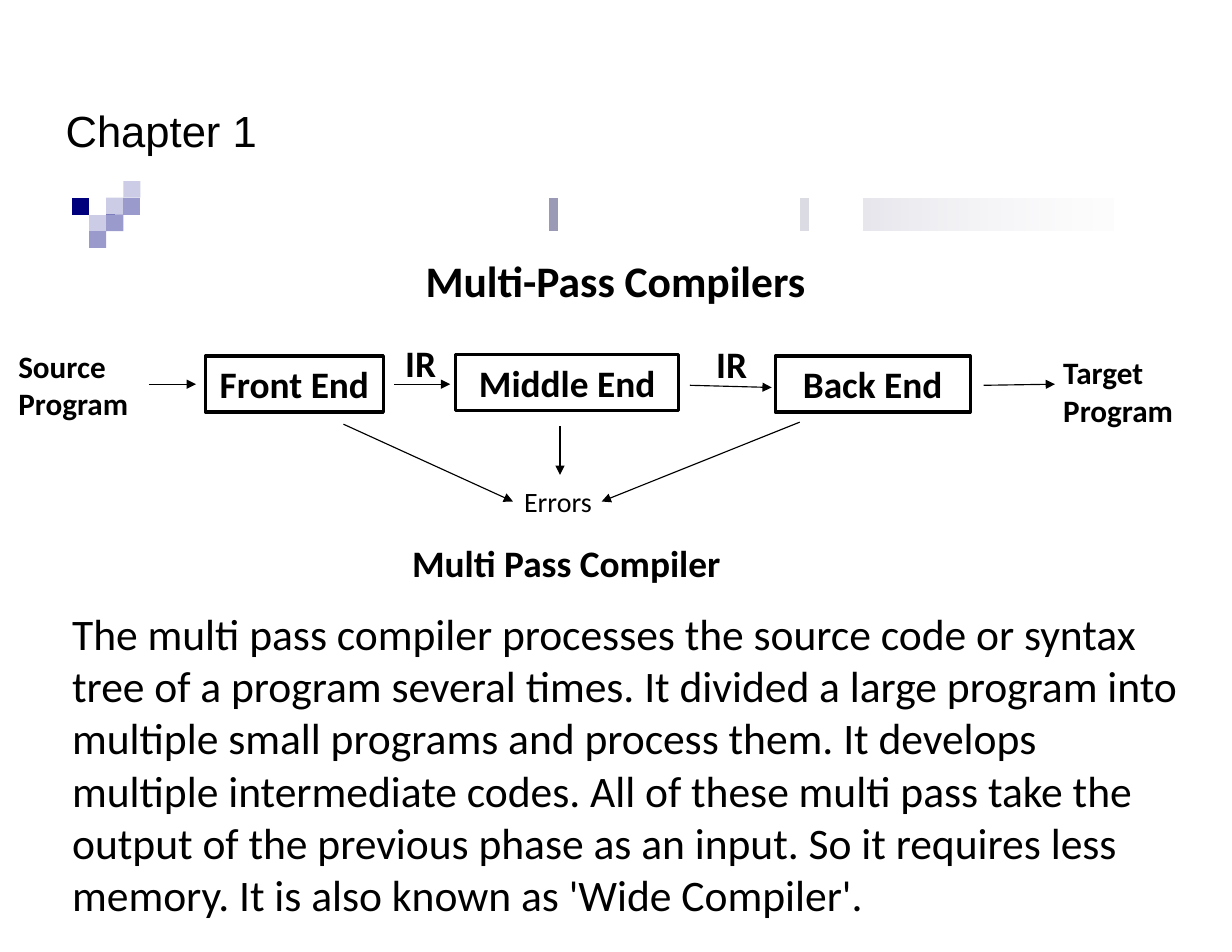
from dataclasses import dataclass

from lxml import etree
from pptx import Presentation
from pptx.dml.color import RGBColor
from pptx.enum import shapes, text
from pptx.oxml import ns
from pptx.util import Pt


@dataclass(frozen=True)
class Theme:
    """Colours, fonts and type sizes of the slide."""
    ink: str = "000000"
    paper: str = "FFFFFF"
    navy: str = "00007C"
    violet: str = "9A9ACC"
    lilac: str = "CCCCE6"
    accents: tuple = ((0, 1, "00007C"), (1, 1, "07077C"), (106, 2, "9A9AB7"), (166, 2, "DBDBE4"))
    fade: tuple = (
        (2, "E6E6EC"), (2, "E7E7ED"), (1, "E8E8EE"), (1, "E9E9EE"), (1, "E9E9EF"),
        (2, "EAEAEF"), (1, "EBEBF0"), (1, "ECECF0"), (1, "ECECF1"), (2, "EDEDF1"),
        (2, "EEEEF2"), (2, "EFEFF3"), (1, "F0F0F3"), (1, "F0F0F4"), (2, "F1F1F4"),
        (1, "F1F1F5"), (2, "F2F2F5"), (3, "F3F3F6"), (1, "F4F4F6"), (1, "F4F4F7"),
        (2, "F5F5F7"), (1, "F5F5F8"), (3, "F6F6F8"), (3, "F7F7F9"), (1, "F8F8F9"),
        (2, "F8F8FA"), (3, "F9F9FA"), (1, "F9F9FB"), (4, "FAFAFB"), (1, "FBFBFB"),
        (4, "FBFBFC"), (2, "FCFCFC"), (3, "FCFCFD"))
    title_font: str = "Arial"
    body_font: str = "Calibri"
    large: int = 28
    medium: int = 24
    label: int = 20
    small: int = 18


THEME = Theme()


def write(frame, wording, size, bold=False, font=THEME.body_font, align=text.PP_ALIGN.LEFT):
    """Fill a text frame with one paragraph per line of wording."""
    frame.text = wording
    for paragraph in frame.paragraphs:
        paragraph.alignment = align
        paragraph.font.name = font
        paragraph.font.size = Pt(size)
        paragraph.font.bold = bold
        paragraph.font.color.rgb = RGBColor.from_string(THEME.ink)


def add_text(slide, box, wording, size, inset=True, wrap=True, **style):
    """Add a text box, with or without inner margins."""
    frame = slide.shapes.add_textbox(*map(Pt, box)).text_frame
    frame.word_wrap = wrap
    if not inset:
        frame.margin_left = frame.margin_right = frame.margin_top = frame.margin_bottom = 0
    write(frame, wording, size, **style)


def add_patch(slide, boxes, colour):
    """Add one borderless outline made of one or more boxes."""
    builder = None
    for left, top, width, height in boxes:
        right, bottom = left + width, top + height
        if builder is None:
            builder = slide.shapes.build_freeform(Pt(left), Pt(top))
        else:
            builder.move_to(Pt(left), Pt(top))
        corners = ((right, top), (right, bottom), (left, bottom))
        builder.add_line_segments([(Pt(x), Pt(y)) for x, y in corners], close=True)
    patch = builder.convert_to_shape()
    patch.shadow.inherit = False
    patch.line.fill.background()
    patch.fill.solid()
    patch.fill.fore_color.rgb = RGBColor.from_string(colour)


def add_arrow(slide, start, end):
    """Add a thin line with a triangular head at its end."""
    arrow = slide.shapes.add_connector(
        shapes.MSO_CONNECTOR.STRAIGHT, *map(Pt, (*start, *end)))
    arrow.line.width = Pt(0.75)
    arrow.line.color.rgb = RGBColor.from_string(THEME.ink)
    etree.SubElement(arrow.line._get_or_add_ln(), ns.qn("a:tailEnd"), type="triangle")
    etree.SubElement(arrow._element.spPr, ns.qn("a:effectLst"))


def add_stage(slide, box, wording):
    """Add an outlined compiler stage."""
    stage = slide.shapes.add_shape(shapes.MSO_SHAPE.RECTANGLE, *map(Pt, box))
    stage.shadow.inherit = False
    stage.fill.solid()
    stage.fill.fore_color.rgb = RGBColor.from_string(THEME.paper)
    stage.line.color.rgb = RGBColor.from_string(THEME.ink)
    stage.line.width = Pt(2)
    stage.text_frame.word_wrap = True
    write(stage.text_frame, wording, THEME.medium, bold=True, align=text.PP_ALIGN.CENTER)


def draw_ornament(slide, box):
    """Draw the fading bar and the staircase of squares."""
    left, top, width, height = box
    cell_width, cell_height = 11, height / 4
    bar_left = left + 2 * cell_width
    fade_start, last = 181, 241
    unit = (left + width - bar_left) / last

    strips = list(THEME.accents)
    position = fade_start
    for span, colour in THEME.fade:
        strips.append((position, span, colour))
        position += span
    for start, span, colour in strips:
        strip = (bar_left + start * unit, top + cell_height, span * unit, 2 * cell_height)
        add_patch(slide, [strip], colour)

    squares = (
        (THEME.lilac, [(2, 1), (3, 0)]),
        (THEME.violet, [(3, 1)]),
        (THEME.lilac, [(1, 2)]),
        (THEME.navy, [(0, 1)]),
        (THEME.violet, [(2, 2), (1, 3)]),
    )
    for colour, cells in squares:
        add_patch(slide, [(left + column * cell_width, top + row * cell_height,
                           cell_width, cell_height) for column, row in cells], colour)


def draw_diagram(slide, box):
    """Draw the compiler stages, their flow and the error output."""
    left, top = box[:2]

    stages = (
        (132, 18.9, 114.5, "Front End"),
        (293, 18.2, 143.3, "Middle End"),
        (498.4, 18.9, 125.3, "Back End"),
    )
    for x, y, width, wording in stages:
        add_stage(slide, (left + x, top + y, width, 36), wording)

    flows = (
        ((95.8, 37), (126, 37)),
        ((253.4, 37), (289.4, 37)),
        ((443.5, 37.7), (496.1, 39.1)),
        ((632.4, 37.7), (678.2, 37)),
        ((220.8, 62.7), (329.8, 112.4)),
        ((360, 64.1), (360, 95.3)),
        ((514.1, 61.4), (386.8, 112.4)),
    )
    for flow in flows:
        add_arrow(slide, *((left + x, top + y) for x, y in flow))

    labels = (
        (4.7, 9.6, 91.4, 55.4, "Source Program", THEME.label, True, True),
        (676.4, 13.9, 85.7, 55.4, "Target\nProgram", THEME.label, True, False),
        (253.4, 5.3, 34.6, 36, "IR", THEME.medium, True, False),
        (453.3, 5.9, 34.6, 36, "IR", THEME.medium, True, False),
        (329.8, 97.8, 58.3, 28.8, "Errors", THEME.small, False, False),
        (257.8, 133.7, 215.3, 36, "Multi Pass Compiler", THEME.medium, True, False),
    )
    for x, y, width, height, wording, size, bold, wrap in labels:
        add_text(slide, (left + x, top + y, width, height), wording, size, bold=bold, wrap=wrap)


def main():
    """Build the slide and save it."""
    deck = Presentation()
    deck.slide_width, deck.slide_height = Pt(792), Pt(612)
    slide = deck.slides.add_slide(deck.slide_layouts[6])
    draw_ornament(slide, (46.3, 116.4, 669.8, 43))
    add_text(slide, (42.2, 67, 242, 36), "Chapter 1", THEME.large,
             inset=False, font=THEME.title_font)
    add_text(slide, (46.4, 390, 715.7, 203.8),
             "The multi pass compiler processes the source code or syntax tree of a program "
             "several times. It divided a large program into multiple small programs and "
             "process them. It develops multiple intermediate codes. All of these multi pass "
             "take the output of the previous phase as an input. So it requires less memory. "
             "It is also known as 'Wide Compiler'.", THEME.large, inset=False)
    add_text(slide, (35.3, 163.2, 720.7, 63.4), "Multi-Pass Compilers", THEME.large,
             inset=False, bold=True, align=text.PP_ALIGN.CENTER)
    draw_diagram(slide, (0, 210, 792, 170))
    deck.save("out.pptx")


if __name__ == "__main__":
    main()
